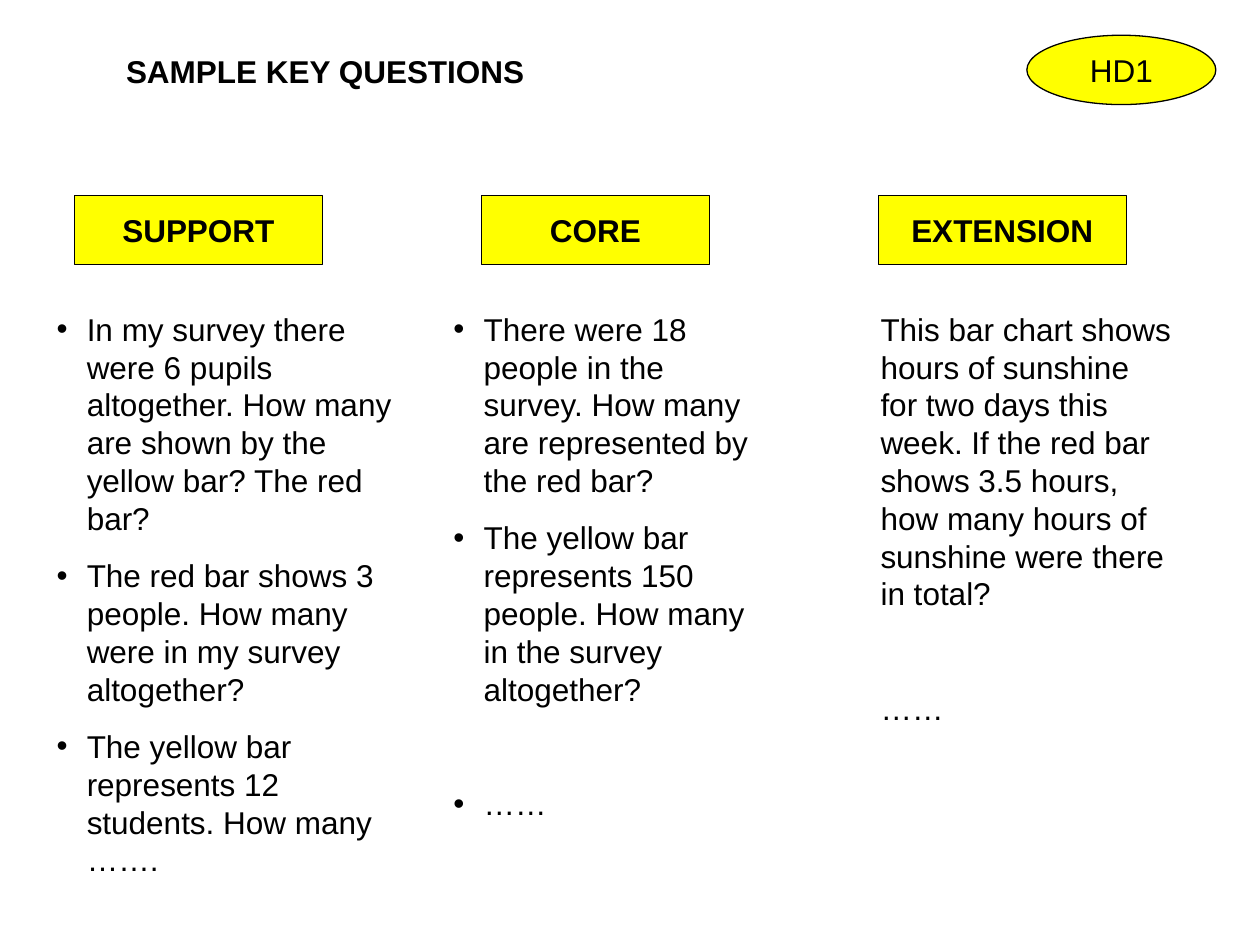
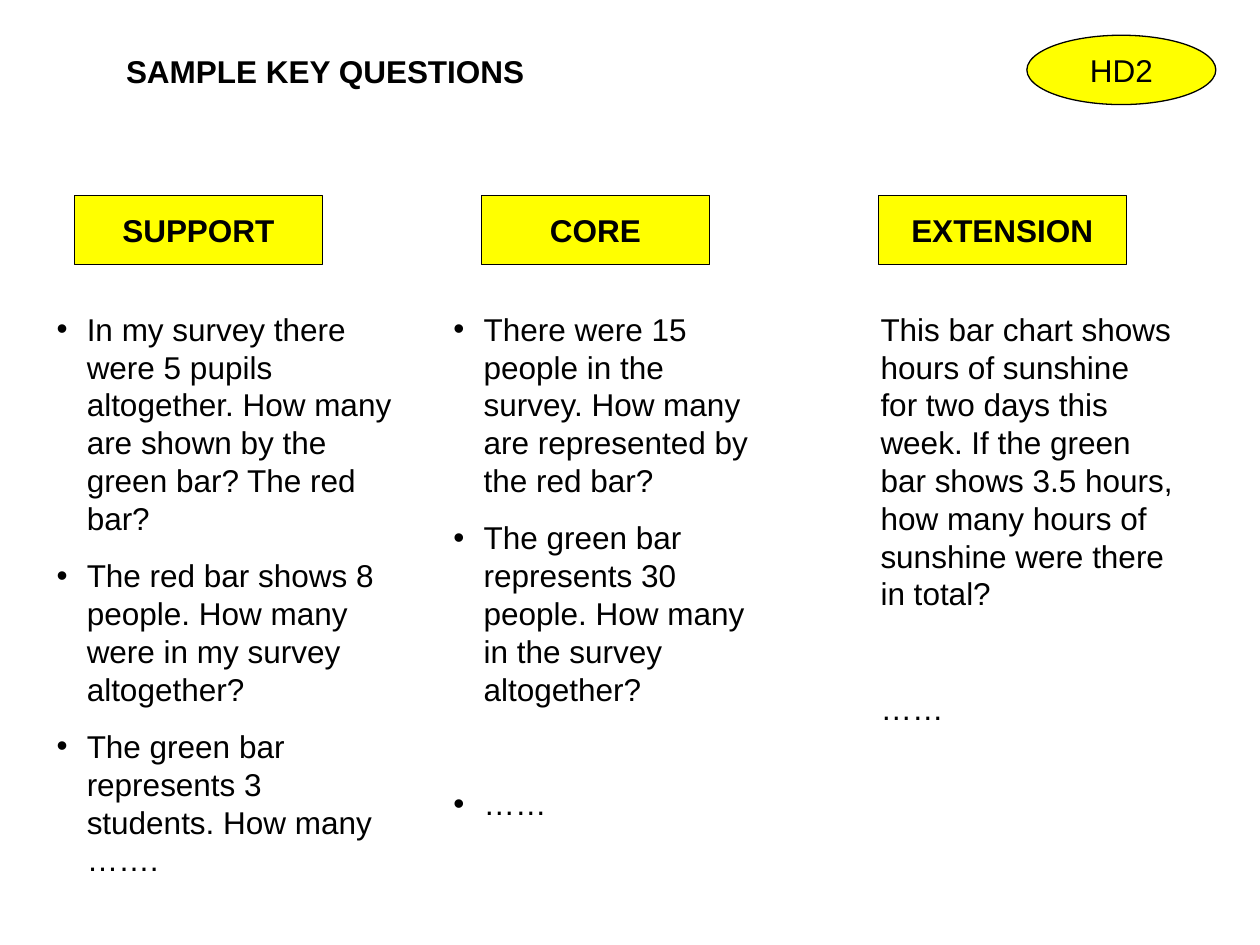
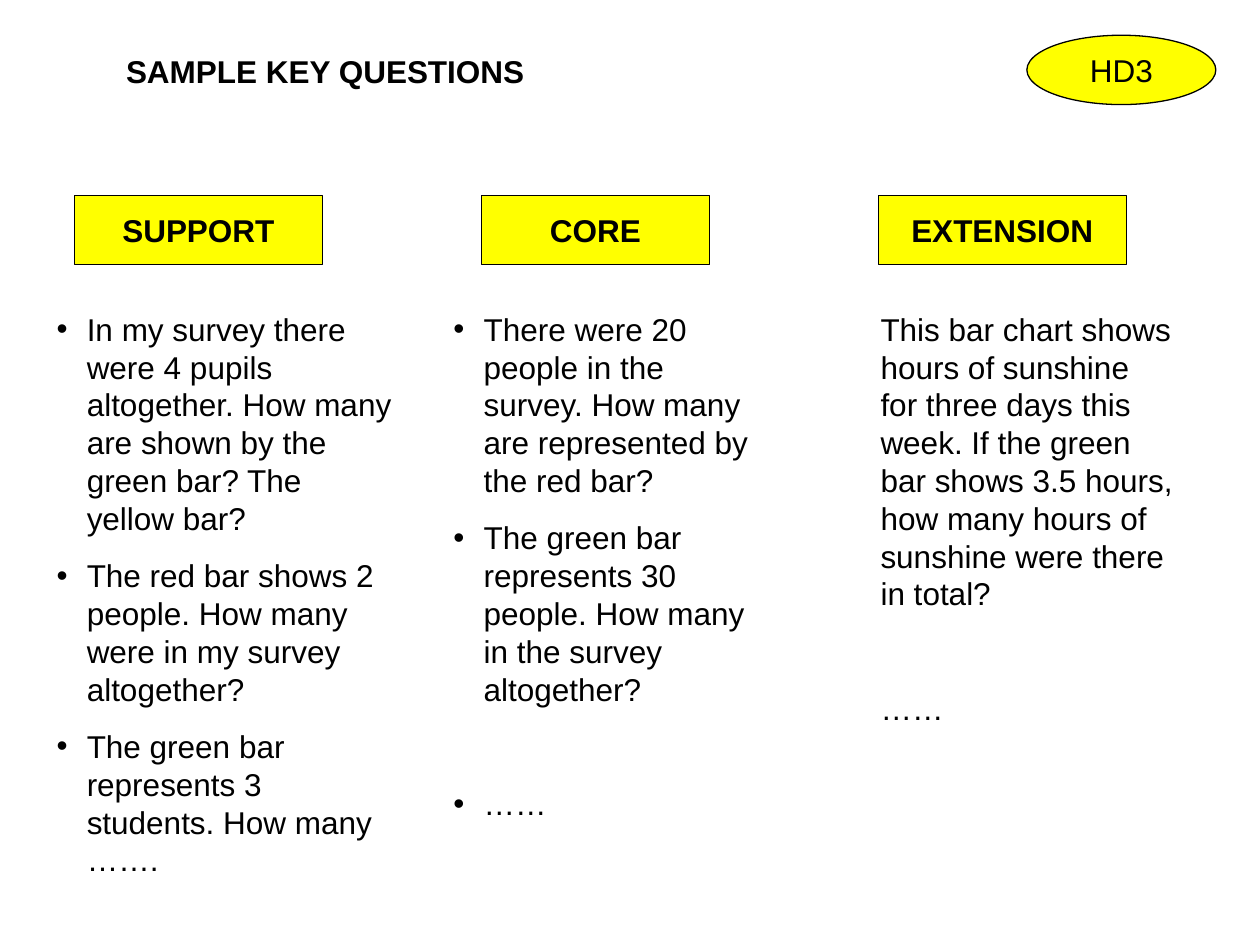
from dataclasses import dataclass

from lxml import etree
from pptx import Presentation
from pptx.dml.color import RGBColor
from pptx.enum.shapes import MSO_SHAPE
from pptx.enum.text import MSO_ANCHOR, MSO_AUTO_SIZE, PP_ALIGN
from pptx.oxml.ns import qn
from pptx.util import Emu, Pt

OVAL, RECTANGLE = MSO_SHAPE.OVAL, MSO_SHAPE.RECTANGLE
LEFT, CENTER = PP_ALIGN.LEFT, PP_ALIGN.CENTER
TOP, MIDDLE = MSO_ANCHOR.TOP, MSO_ANCHOR.MIDDLE
NO_AUTOFIT = MSO_AUTO_SIZE.NONE
TITLE_ONLY = 5
EMU_PER_PX = 9144  # 100 px to the inch


# Shared look
@dataclass(frozen=True)
class Theme:
    font: str = "Arial"
    size: float = 18
    ink: RGBColor = RGBColor(0x00, 0x00, 0x00)
    highlight: RGBColor = RGBColor(0xFF, 0xFF, 0x00)
    outline: float = 0.75
    question_gap: float = 11.2
    ellipsis_gap: float = 44
    bullet_indent: int = 24


THEME = Theme()

# Shared positions: left, top, width, height
TITLE_BOX = (90, 36, 347, 40)
CODE_BOX = (815, 28, 150, 55)
LEVEL_TOP, LEVEL_HEIGHT = 155, 55
QUESTIONS_TOP = 241


@dataclass(frozen=True)
class Level:
    label: str
    label_left: int
    label_width: int
    text_left: int
    text_width: int
    text_height: int
    bulleted: bool


LEVELS = (
    Level("SUPPORT", 59, 197, 35, 288, 402, True),
    Level("CORE", 382, 181, 350, 268, 387, True),
    Level("EXTENSION", 697, 197, 689, 253, 342, False),
)


# What changes from one survey to the next
@dataclass(frozen=True)
class Survey:
    code: str
    bar: str
    other_bar: str
    pupils: int
    red_people: int
    students: int
    surveyed: int
    represented: int
    days: str
    sunny_bar: str

    def questions(self):
        support = (
            f"In my survey there were {self.pupils} pupils altogether. How many are "
            f"shown by the {self.bar} bar? The {self.other_bar} bar?",
            f"The red bar shows {self.red_people} people. How many were in my survey altogether?",
            f"The {self.bar} bar represents {self.students} students. How many …….",
        )
        core = (
            f"There were {self.surveyed} people in the survey. "
            "How many are represented by the red bar?",
            f"The {self.bar} bar represents {self.represented} people. "
            "How many in the survey altogether?",
            "……",
        )
        extension = (
            f"This bar chart shows hours of sunshine for {self.days} days this week. "
            f"If the {self.sunny_bar} bar shows 3.5 hours, "
            "how many hours of sunshine were there in total?",
            "……",
        )
        return support, core, extension


SURVEYS = (
    Survey("HD1", "yellow", "red", 6, 3, 12, 18, 150, "two", "red"),
    Survey("HD2", "green", "red", 5, 8, 3, 15, 30, "two", "green"),
    Survey("HD3", "green", "yellow", 4, 2, 3, 20, 30, "three", "green"),
)


def px(length):
    return Emu(length * EMU_PER_PX)


def write(paragraph, text, bold=False, align=LEFT):
    paragraph.alignment = align
    run = paragraph.add_run()
    run.text = text
    run.font.name = THEME.font
    run.font.size = Pt(THEME.size)
    run.font.bold = bold
    run.font.color.rgb = THEME.ink


def add_bullet(paragraph):
    properties = paragraph._p.get_or_add_pPr()
    indent = px(THEME.bullet_indent)
    properties.set("marL", str(indent))
    properties.set("indent", str(-indent))
    color = etree.SubElement(properties, qn("a:buClr"))
    etree.SubElement(color, qn("a:srgbClr"), val=str(THEME.ink))
    etree.SubElement(properties, qn("a:buFont"), typeface=THEME.font)
    etree.SubElement(properties, qn("a:buChar"), char="•")


def add_title(slide, text):
    title = slide.shapes.title
    title.left, title.top, title.width, title.height = map(px, TITLE_BOX)
    frame = title.text_frame
    frame.auto_size = NO_AUTOFIT
    frame.vertical_anchor = TOP
    write(frame.paragraphs[0], text, bold=True)


def add_label(slide, outline, box, text, bold):
    label = slide.shapes.add_shape(outline, *map(px, box))
    label.shadow.inherit = False
    label.fill.solid()
    label.fill.fore_color.rgb = THEME.highlight
    label.line.color.rgb = THEME.ink
    label.line.width = Pt(THEME.outline)
    frame = label.text_frame
    frame.word_wrap = False
    frame.vertical_anchor = MIDDLE
    write(frame.paragraphs[0], text, bold, CENTER)


def add_questions(slide, level, questions):
    box = (level.text_left, QUESTIONS_TOP, level.text_width, level.text_height)
    frame = slide.shapes.add_textbox(*map(px, box)).text_frame
    frame.word_wrap = True
    for number, question in enumerate(questions):
        paragraph = frame.add_paragraph() if number else frame.paragraphs[0]
        if level.bulleted:
            add_bullet(paragraph)
        if number:
            gap = THEME.ellipsis_gap if question == "……" else THEME.question_gap
            paragraph.space_before = Pt(gap)
        write(paragraph, question)


def add_survey_slide(deck, survey):
    slide = deck.slides.add_slide(deck.slide_layouts[TITLE_ONLY])
    add_title(slide, "SAMPLE KEY QUESTIONS")
    add_label(slide, OVAL, CODE_BOX, survey.code, bold=False)
    for level, questions in zip(LEVELS, survey.questions()):
        label_box = (level.label_left, LEVEL_TOP, level.label_width, LEVEL_HEIGHT)
        add_label(slide, RECTANGLE, label_box, level.label, bold=True)
        add_questions(slide, level, questions)


def main():
    deck = Presentation()
    deck.slide_width, deck.slide_height = px(1000), px(750)
    for survey in SURVEYS:
        add_survey_slide(deck, survey)
    deck.save("out.pptx")


if __name__ == "__main__":
    main()
